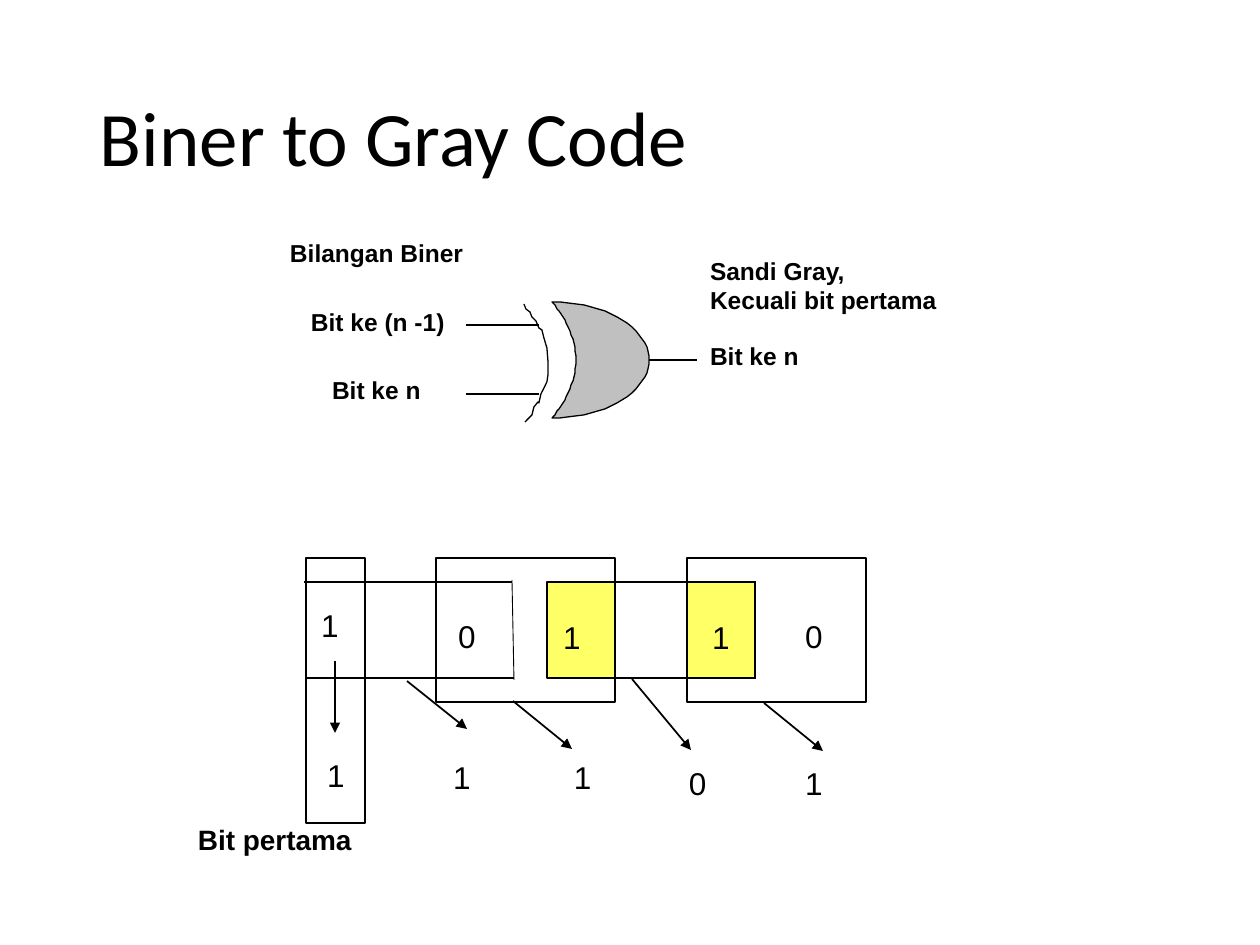
"""Build the slide on converting binary to Gray code."""
from lxml.etree import SubElement
from pptx import Presentation
from pptx.dml.color import RGBColor
from pptx.enum.shapes import MSO_CONNECTOR, MSO_SHAPE
from pptx.enum.text import MSO_ANCHOR, PP_ALIGN
from pptx.oxml.ns import qn
from pptx.util import Emu, Pt

PX = 914400 / 126
BLACK = RGBColor(0, 0, 0)
WHITE = RGBColor(0xFF, 0xFF, 0xFF)
GRAY = RGBColor(0xC0, 0xC0, 0xC0)
YELLOW = RGBColor(0xFF, 0xFF, 0x66)

TITLE = ("Biner to Gray Code", (87, 50, 1086, 183))
LABELS = [
    ("Bilangan Biner", (277, 233, 231, 52), 14),
    ("Sandi Gray,\vKecuali bit pertama", (697, 251, 294, 86), 14),
    ("Bit ke n", (319, 370, 147, 52), 14),
    ("Bit ke n", (697, 336, 147, 52), 14),
    ("Bit pertama", (185, 818, 268, 72), 16),
]
PREVIOUS_BIT = ("Bit ke (n -1)", (309, 305, 144, 33))
DIGITS = [("0", 457, 615), ("0", 804, 615), ("1", 326, 754), ("1", 452, 756),
          ("1", 573, 756), ("0", 688, 762), ("1", 804, 762)]

GATE_LEFT, GATE_MID, GATE_HALF = 552, 360, 58
GATE_NOSE, GATE_HOLLOW, GATE_STEPS = 97, 24, 40
INPUT_CURVE = [
    (524, 304), (526, 309), (530, 312), (532, 317), (536, 321), (539, 328),
    (542, 330), (544, 338), (547, 348), (548, 361), (548, 375), (547, 382),
    (544, 388), (541, 394), (539, 403), (538, 402), (534, 407), (532, 415),
    (529, 418), (525, 422),
]
WIRES = [(466, 325, 539, 325), (466, 394, 539, 394), (649, 360, 697, 360)]

FRAMES = [(436, 558, 179, 144), (687, 558, 179, 144), (306, 558, 59, 265)]
BIT_TOP, BIT_HEIGHT = 582, 96
BITS = [
    (306, 59, None, dict(inset=(15, 24))),
    (547, 68, YELLOW, dict(inset=(16, 36))),
    (687, 68, YELLOW, dict(inset=(0, 36), align=PP_ALIGN.CENTER)),
]
RAILS = [(304, 582, 512, 582), (306, 678, 514, 678),
         (547, 582, 756, 582), (547, 678, 756, 678)]
RAIL_END = (512, 580, 514, 680)
ARROWS = [(335, 661, 335, 733), (407, 681, 467, 729), (513, 701, 572, 749),
          (632, 679, 691, 750), (764, 703, 823, 751)]


def emu(*lengths):
    return [Emu(round(length * PX)) for length in lengths]


def write(box, text, size=18, font="Arial", bold=False, inset=(0, 0),
          align=PP_ALIGN.LEFT, anchor=MSO_ANCHOR.TOP, spacing=1.0):
    frame = box.text_frame
    frame.word_wrap = True
    frame.vertical_anchor = anchor
    frame.margin_left, frame.margin_top = emu(*inset)
    frame.margin_right = frame.margin_bottom = 0
    para = frame.paragraphs[0]
    para.text = text
    para.alignment = align
    para.line_spacing = spacing
    for span in para.runs:
        span.font.size, span.font.name, span.font.bold = Pt(size), font, bold
        span.font.color.rgb = BLACK


def paint(shape, fill=None, line=BLACK):
    shape.shadow.inherit = False
    if fill is None:
        shape.fill.background()
    else:
        shape.fill.solid()
        shape.fill.fore_color.rgb = fill
    if line is None:
        shape.line.fill.background()
    else:
        shape.line.color.rgb = line
        shape.line.width = Pt(0.75)


def add_text(page, text, place, **style):
    write(page.shapes.add_textbox(*emu(*place)), text, **style)


def add_box(page, place, fill=None, line=BLACK):
    box = page.shapes.add_shape(MSO_SHAPE.RECTANGLE, *emu(*place))
    paint(box, fill, line)
    return box


def add_outline(page, points, fill=None):
    builder = page.shapes.build_freeform(*points[0], scale=PX)
    builder.add_line_segments(points[1:], close=fill is not None)
    paint(builder.convert_to_shape(), fill)


def add_line(page, ends, width=0.75, arrow=False):
    line = page.shapes.add_connector(MSO_CONNECTOR.STRAIGHT, *emu(*ends))
    line.line.color.rgb = BLACK
    line.line.width = Pt(width)
    properties = line._element.spPr
    SubElement(properties, qn("a:effectLst"))
    if arrow:
        SubElement(properties.find(qn("a:ln")), qn("a:tailEnd"),
                   type="triangle", w="med", len="med")


def gate_points():
    steps = [2 * i / GATE_STEPS - 1 for i in range(GATE_STEPS + 1)]
    heights = [1.5 * t - 0.5 * t ** 3 for t in steps]
    nose = [(GATE_LEFT + GATE_NOSE * (1 - h * h) ** 0.5, GATE_MID + GATE_HALF * h)
            for h in heights]
    hollow = [(GATE_LEFT + GATE_HOLLOW * (1 - h * h), GATE_MID + GATE_HALF * h)
              for h in reversed(heights)]
    return nose + hollow[1:-1]


def main():
    deck = Presentation()
    deck.slide_width, deck.slide_height = emu(1260, 945)
    page = deck.slides.add_slide(deck.slide_layouts[6])

    add_text(page, *TITLE, size=44, font="Calibri", inset=(13, 0),
             anchor=MSO_ANCHOR.MIDDLE, spacing=0.9)
    add_outline(page, gate_points(), GRAY)
    add_outline(page, INPUT_CURVE)
    for text, place, size in LABELS:
        box = add_box(page, place, WHITE, line=None)
        write(box, text, size=size, bold=True, inset=(13, 5))
    add_text(page, *PREVIOUS_BIT, size=14, bold=True, inset=(2, 2))

    for left, width, fill, style in BITS:
        box = add_box(page, (left, BIT_TOP, width, BIT_HEIGHT), fill)
        write(box, "1", **style)
    for place in FRAMES:
        add_box(page, place)
    for ends in WIRES + RAILS:
        add_line(page, ends)
    add_line(page, RAIL_END, width=0.5)
    for ends in ARROWS:
        add_line(page, ends, width=1, arrow=True)
    for digit, left, top in DIGITS:
        add_text(page, digit, (left, top, 21, 42), inset=(1, 2))

    deck.save("out.pptx")


if __name__ == "__main__":
    main()
